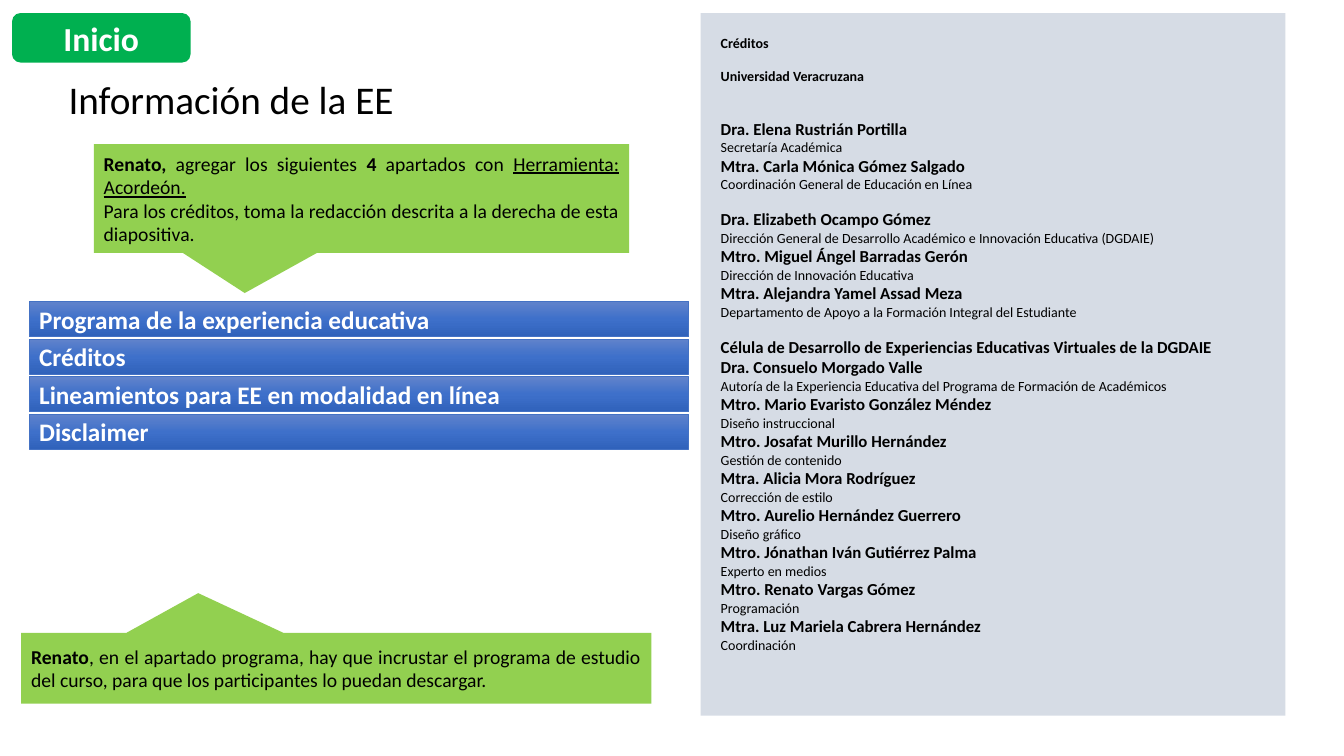
import copy

import pptx
import pptx.dml.color
import pptx.enum.dml
import pptx.enum.shapes
import pptx.enum.text
import pptx.oxml.ns
import pptx.util
from pptx.util import Inches

SHAPE = pptx.enum.shapes.MSO_SHAPE
ALIGN = pptx.enum.text.PP_ALIGN
ANCHOR = pptx.enum.text.MSO_ANCHOR
GREEN, LIME, PANEL_GREY = "00B050", "92D050", "D6DCE5"
BLACK, WHITE = "000000", "FFFFFF"
BAR_STOPS = [(0, "6183CB"), (0.5, "3E70CA"), (1, "3062BB")]

# Space before in points, then names with their roles (an empty role adds no line)
CREDITS = [
    (24, [("Dra. Elena Rustrián Portilla", "Secretaría Académica"),
          ("Mtra. Carla Mónica Gómez Salgado", "Coordinación General de Educación en Línea")]),
    (12, [("Dra. Elizabeth Ocampo Gómez",
           "Dirección General de Desarrollo Académico e Innovación Educativa (DGDAIE)"),
          ("Mtro. Miguel Ángel Barradas Gerón", "Dirección de Innovación Educativa"),
          ("Mtra. Alejandra Yamel Assad Meza",
           "Departamento de Apoyo a la Formación Integral del Estudiante")]),
    (12, [("Célula de Desarrollo de Experiencias Educativas Virtuales de la DGDAIE", ""),
          ("Dra. Consuelo Morgado Valle",
           "Autoría de la Experiencia Educativa del Programa de Formación de Académicos"),
          ("Mtro. Mario Evaristo González Méndez", "Diseño instruccional"),
          ("Mtro. Josafat Murillo Hernández", "Gestión de contenido"),
          ("Mtra. Alicia Mora Rodríguez", "Corrección de estilo"),
          ("Mtro. Aurelio Hernández Guerrero", "Diseño gráfico"),
          ("Mtro. Jónathan Iván Gutiérrez Palma", "Experto en medios"),
          ("Mtro. Renato Vargas Gómez", "Programación"),
          ("Mtra. Luz Mariela Cabrera Hernández", "Coordinación")]),
]
SECTIONS = ["Programa de la experiencia educativa", "Créditos",
            "Lineamientos para EE en modalidad en línea", "Disclaimer"]


def rgb(value):
    return pptx.dml.color.RGBColor.from_string(value)


def set_values(target, values):
    for name, value in values.items():
        setattr(target, name, value)


def write_paragraphs(frame, paragraphs, size, color, **layout):
    """Fill a frame with paragraphs, each a list of (text, font values) runs."""
    set_values(frame, {"word_wrap": True, "auto_size": pptx.enum.text.MSO_AUTO_SIZE.NONE})
    for index, runs in enumerate(paragraphs):
        paragraph = frame.add_paragraph() if index else frame.paragraphs[0]
        set_values(paragraph, layout)
        for text, values in runs:
            run = paragraph.add_run()
            run.text = text
            run.font.color.rgb = rgb(color)
            set_values(run.font, {"name": "Calibri", "size": pptx.util.Pt(size),
                                  "bold": False, **values})


def add_box(shapes, kind, box, fill=None):
    shape = shapes.add_shape(kind, *map(Inches, box))
    shape.shadow.inherit = False
    shape.line.fill.background()
    shape.text_frame.vertical_anchor = ANCHOR.MIDDLE
    if fill:
        shape.fill.solid()
        shape.fill.fore_color.rgb = rgb(fill)
    return shape


def add_title(slide, text):
    title = slide.shapes.title
    set_values(title, {"left": Inches(0.58), "top": Inches(0.75),
                       "width": Inches(6.15), "height": Inches(0.51)})
    title.text_frame.vertical_anchor = ANCHOR.MIDDLE
    write_paragraphs(title.text_frame, [[(text, {})]], 28, BLACK,
                     alignment=ALIGN.LEFT, line_spacing=0.9)


def add_callout(slide, box, pointer, paragraphs):
    callout = add_box(slide.shapes, SHAPE.RECTANGULAR_CALLOUT, box, LIME)
    for index, value in enumerate(pointer):
        callout.adjustments[index] = value
    write_paragraphs(callout.text_frame, paragraphs, 14, BLACK, alignment=ALIGN.JUSTIFY)


def fill_gradient(shape, stops):
    shape.fill.gradient()
    shape.fill.gradient_angle = 270
    stop_list = shape._element.spPr.find(".//" + pptx.oxml.ns.qn("a:gsLst"))
    while len(stop_list) < len(stops):
        stop_list.append(copy.deepcopy(stop_list[-1]))
    for stop, (position, color) in zip(shape.fill.gradient_stops, stops):
        stop.position = position
        stop.color.rgb = rgb(color)


def add_accordion(slide, sections):
    group = slide.shapes.add_group_shape()
    for index, section in enumerate(sections):
        bar = add_box(group.shapes, SHAPE.RECTANGLE, (0.29, 2.99 + index * 0.373, 6.54, 0.35))
        fill_gradient(bar, BAR_STOPS)
        bar.line.color.rgb = rgb("4472C4")
        bar.line.width = pptx.util.Pt(0.5)
        write_paragraphs(bar.text_frame, [[(section, {"bold": True})]], 18, WHITE,
                         alignment=ALIGN.LEFT)


def add_credits(slide):
    add_box(slide.shapes, SHAPE.RECTANGLE, (6.95, 0.13, 5.8, 6.97), PANEL_GREY)
    paragraphs = [[("Créditos", {"bold": True})], [("Universidad Veracruzana", {"bold": True})]]
    gaps = {1: 12}
    name_format = {"bold": True, "size": pptx.util.Pt(12)}
    for gap, people in CREDITS:
        gaps[len(paragraphs)] = gap
        for name, role in people:
            paragraphs.append([(name, name_format)])
            if role:
                paragraphs.append([(role, {})])
    frame = slide.shapes.add_textbox(*map(Inches, (7.05, 0.29, 5.61, 6.29))).text_frame
    write_paragraphs(frame, paragraphs, 10, BLACK)
    for index, gap in gaps.items():
        frame.paragraphs[index].space_before = pptx.util.Pt(gap)


def main():
    presentation = pptx.Presentation()
    set_values(presentation, {"slide_width": Inches(13.33), "slide_height": Inches(7.5)})
    slide = presentation.slides.add_slide(presentation.slide_layouts[5])
    bold = {"bold": True}

    add_title(slide, "Información de la EE")
    add_credits(slide)
    start_button = add_box(slide.shapes, SHAPE.ROUNDED_RECTANGLE, (0.12, 0.13, 1.77, 0.49), GREEN)
    write_paragraphs(start_button.text_frame, [[("Inicio", bold)]], 24, WHITE,
                     alignment=ALIGN.CENTER)
    add_callout(slide, (0.93, 1.43, 5.31, 1.08), (-0.218, 0.868), [
        [("Renato, ", bold), ("agregar los siguientes ", {}), ("4", bold),
         (" apartados con ", {}), ("Herramienta: Acordeón.", {"underline": True})],
        [("Para los créditos, toma la redacción descrita a la derecha de esta diapositiva.", {})],
    ])
    add_callout(slide, (0.21, 6.28, 6.25, 0.7), (-0.219, -1.065), [
        [("Renato", bold),
         (", en el apartado programa, hay que incrustar el programa de estudio del curso, "
          "para que los participantes lo puedan descargar.", {})],
    ])
    add_accordion(slide, SECTIONS)
    presentation.save("out.pptx")


if __name__ == "__main__":
    main()
